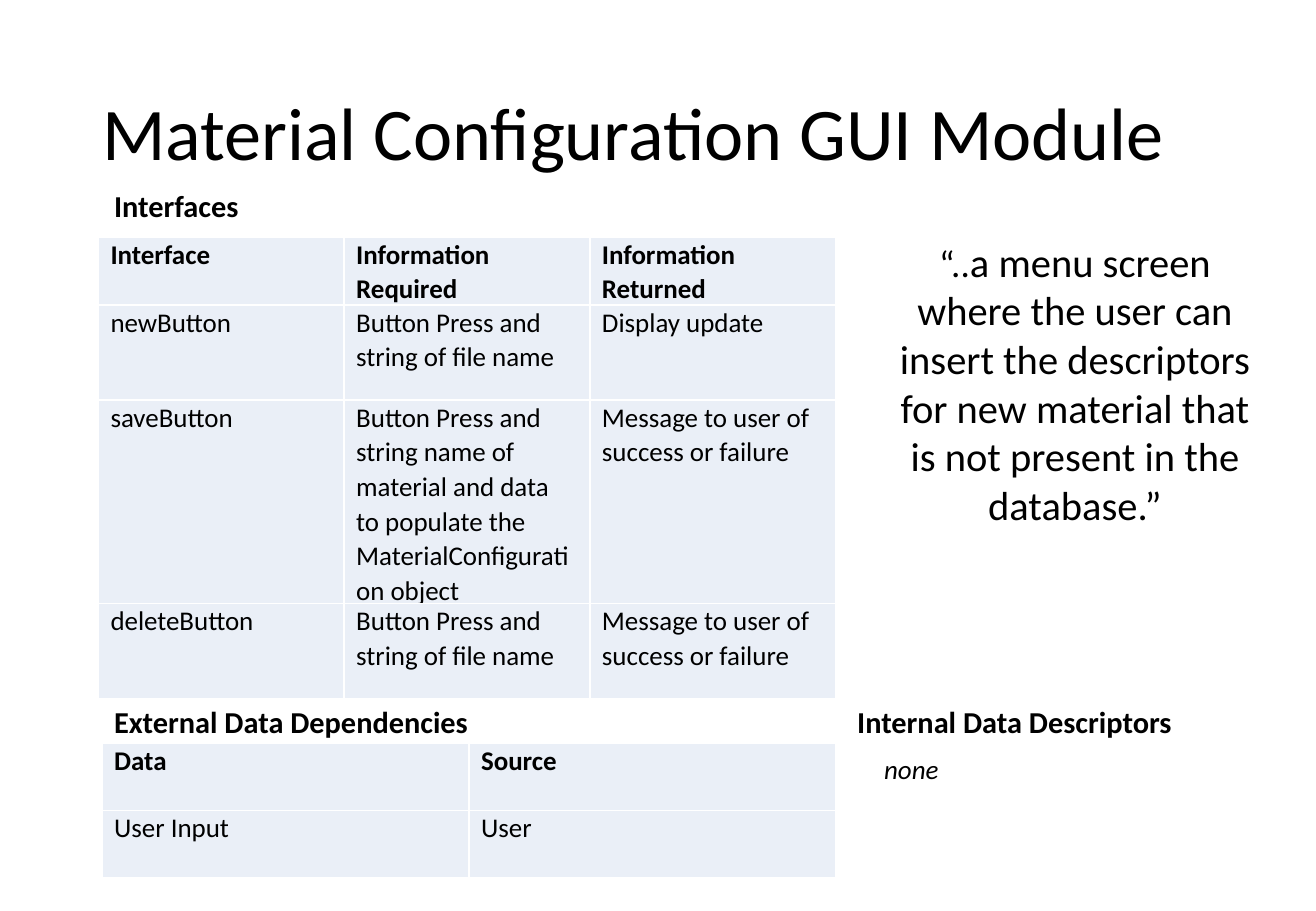
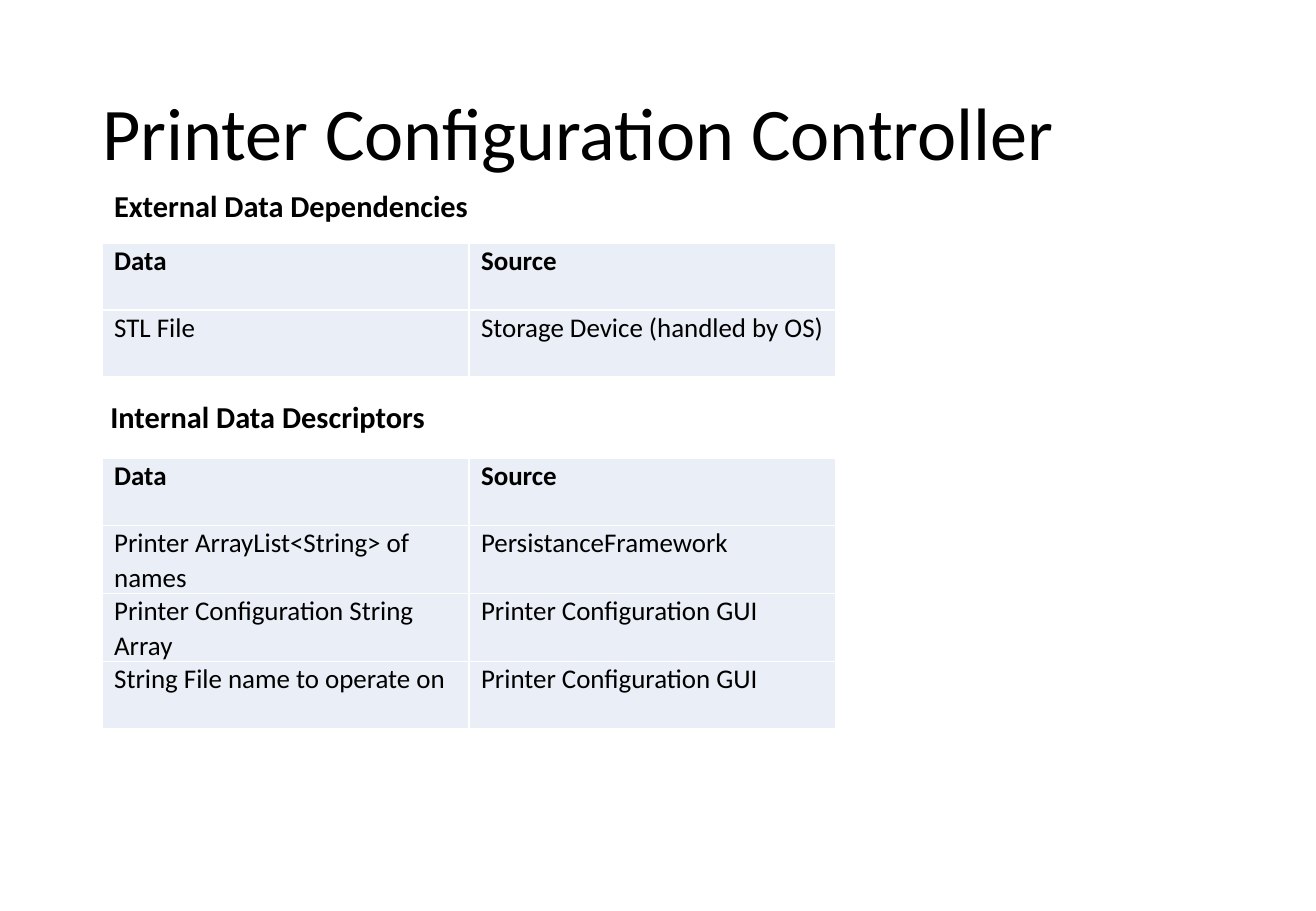
from lxml.etree import SubElement
from pptx import Presentation
from pptx.dml.color import RGBColor
from pptx.enum.text import MSO_ANCHOR, MSO_AUTO_SIZE as AUTO, PP_ALIGN as ALIGN
from pptx.oxml.ns import qn
from pptx.util import Pt

FONT, BLACK, WHITE, CELL = "Calibri", "000000", "FFFFFF", "EAEFF7"
LEFT, DATA_WIDTH, DATA_ROW = 60.5, 435, 39.8
DATA_HEAD = ("Data", "Source")


def rgb(value):
    """Turn a hex string into a colour."""
    return RGBColor.from_string(value)


def style_run(r, size, bold=False, italic=False):
    """Give a run the shared font and colour."""
    r.font.name, r.font.size = FONT, Pt(size)
    r.font.bold, r.font.italic = bold, italic
    r.font.color.rgb = rgb(BLACK)


def add_titled_slide(prs, title):
    """Add a slide with the shared title style."""
    s = prs.slides.add_slide(prs.slide_layouts[5])
    sp = s.shapes.title
    sp.left, sp.top, sp.width, sp.height = Pt(53.3), Pt(28.8), Pt(672.5), Pt(104.4)
    tf = sp.text_frame
    tf.text = title
    tf.word_wrap, tf.auto_size = True, AUTO.NONE
    tf.vertical_anchor = MSO_ANCHOR.MIDDLE
    p = tf.paragraphs[0]
    p.alignment, p.line_spacing = ALIGN.LEFT, 0.9
    style_run(p.runs[0], 44)
    return s


def add_text(s, box, parts, align=ALIGN.LEFT, bold=False, italic=False):
    """Add a one-paragraph text box from (text, size) parts."""
    sp = s.shapes.add_textbox(*map(Pt, box))
    tf = sp.text_frame
    tf.word_wrap, tf.auto_size = True, AUTO.SHAPE_TO_FIT_TEXT
    p = tf.paragraphs[0]
    p.alignment = align
    for text, size in parts:
        r = p.add_run()
        r.text = text
        style_run(r, size, bold, italic)


def add_heading(s, x, y, text):
    """Add a bold section heading."""
    add_text(s, (x, y, 262, 29), [(text, 18)], bold=True)


def fill_cell(cell, text, header, space_after):
    """Write and format one table cell."""
    cell.fill.solid()
    cell.fill.fore_color.rgb = rgb(CELL)
    cell.margin_left = cell.margin_right = Pt(7.2)
    cell.margin_top = cell.margin_bottom = Pt(0)
    tf = cell.text_frame
    tf.text = text
    p = tf.paragraphs[0]
    p.alignment = ALIGN.JUSTIFY if header else ALIGN.LEFT
    p.line_spacing, p.space_after = 1.05, Pt(space_after)
    style_run(p.runs[0], 16, bold=header)
    tc_pr = cell._tc.get_or_add_tcPr()
    for i, side in enumerate(("a:lnL", "a:lnR", "a:lnT", "a:lnB")):
        ln = SubElement(tc_pr, qn(side), w=str(Pt(1)))
        SubElement(SubElement(ln, qn("a:solidFill")), qn("a:srgbClr"), val=WHITE)
        tc_pr.insert(i, ln)


def add_grid(s, x, y, width, heights, rows, body_space=0):
    """Add a table with equal columns and a bold header row."""
    cols = len(rows[0])
    frame = s.shapes.add_table(len(rows), cols, Pt(x), Pt(y), Pt(width), Pt(sum(heights)))
    table = frame.table
    table.first_row = table.horz_banding = False
    for col in table.columns:
        col.width = Pt(width / cols)
    for i, (height, row) in enumerate(zip(heights, rows)):
        table.rows[i].height = Pt(height)
        for j, text in enumerate(row):
            fill_cell(table.cell(i, j), text, i == 0, body_space if i else 8)


def add_data_section(s, x, y, heading, table_y, rows):
    """Add a heading with a data and source table under it."""
    add_heading(s, x, y, heading)
    rows = [DATA_HEAD, *rows]
    add_grid(s, LEFT, table_y, DATA_WIDTH, [DATA_ROW] * len(rows), rows)


def build_gui_slide(prs):
    """Build the material configuration slide."""
    s = add_titled_slide(prs, "Material Configuration GUI Module")
    add_heading(s, LEFT, 107.3, "Interfaces")
    add_grid(s, 58.3, 140.4, 437, [36.7] + [56.3] * 3, [
        ("Interface", "Information Required", "Information Returned"),
        ("newButton", "Button Press and string of file name", "Display update"),
        ("saveButton",
         "Button Press and string name of material and data to populate the "
         "MaterialConfiguration object",
         "Message to user of success or failure"),
        ("deleteButton", "Button Press and string of file name",
         "Message to user of success or failure"),
    ], body_space=8)
    add_data_section(s, LEFT, 413.3, "External Data Dependencies", 440.6,
                     [("User Input", "User")])
    add_heading(s, 501, 413.3, "Internal Data Descriptors")
    add_text(s, (517, 442.8, 149, 26.6), [("none", 16)], italic=True)
    add_text(s, (522, 136.8, 230.4, 181.4), [
        ("“..", 22),
        ("a menu screen where the user can insert the descriptors for new "
         "material that is not present in the database.”", 24),
    ], ALIGN.CENTER)


def build_controller_slide(prs):
    """Build the printer configuration slide."""
    s = add_titled_slide(prs, "Printer Configuration Controller")
    add_data_section(s, LEFT, 107.3, "External Data Dependencies", 144,
                     [("STL File", "Storage Device (handled by OS)")])
    add_data_section(s, 58.3, 232.6, "Internal Data Descriptors", 271.6, [
        ("Printer ArrayList<String> of names", "PersistanceFramework"),
        ("Printer Configuration String Array", "Printer Configuration GUI"),
        ("String File name to operate on", "Printer Configuration GUI"),
    ])


def main():
    """Build and save the presentation."""
    prs = Presentation()
    prs.slide_width, prs.slide_height = Pt(780), Pt(540)
    build_gui_slide(prs)
    build_controller_slide(prs)
    prs.save("out.pptx")


if __name__ == "__main__":
    main()
